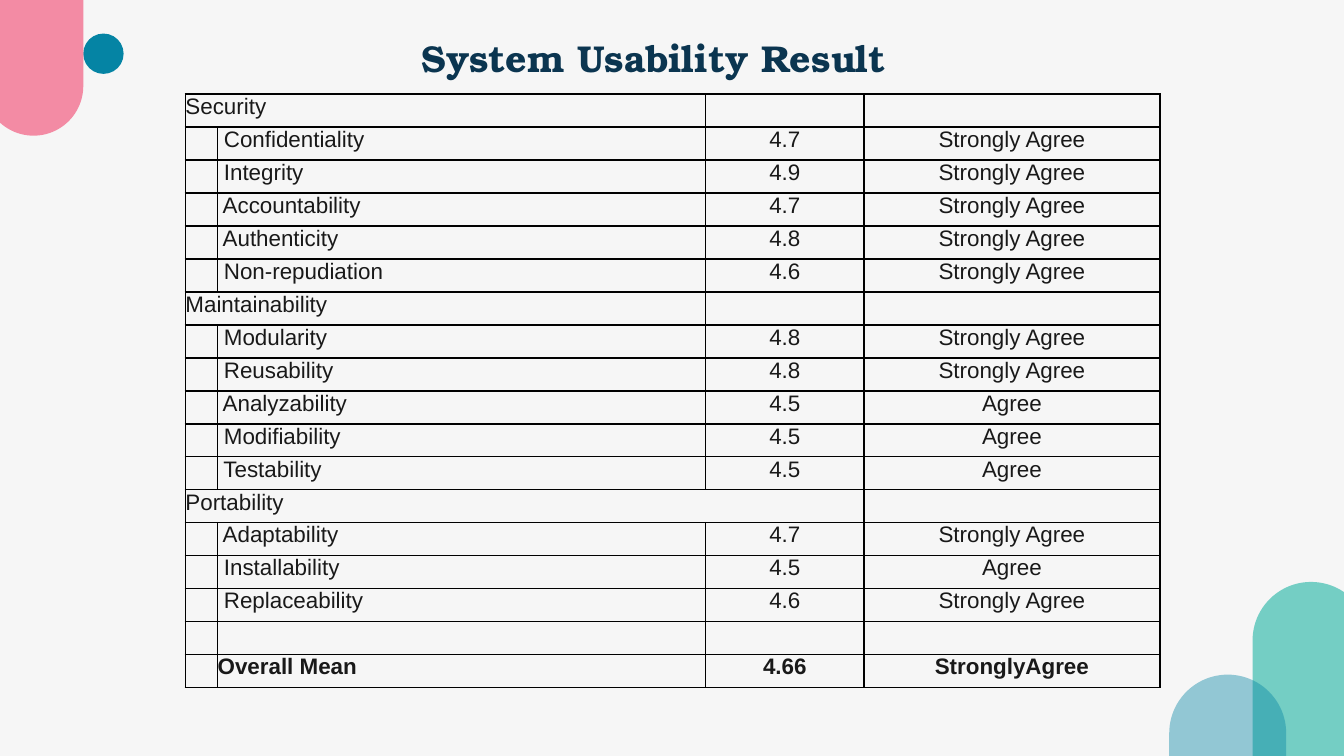
import pptx
import pptx.util
import pptx.dml.color
import pptx.enum.shapes
import pptx.enum.text
import pptx.oxml.ns
import lxml.etree

Inches = pptx.util.Inches
Pt = pptx.util.Pt
SHAPE = pptx.enum.shapes.MSO_SHAPE
ALIGN = pptx.enum.text.PP_ALIGN
qn = pptx.oxml.ns.qn


def color(value):
    return pptx.dml.color.RGBColor.from_string(value)


def add_borders(cell):
    properties = cell._tc.get_or_add_tcPr()
    for side in ("a:lnL", "a:lnR", "a:lnT", "a:lnB"):
        line = lxml.etree.SubElement(properties, qn(side), w=str(Pt(1)))
        fill = lxml.etree.SubElement(line, qn("a:solidFill"))
        lxml.etree.SubElement(fill, qn("a:srgbClr"), val="000000")


# Widescreen page, 16 to 9
deck = pptx.Presentation()
deck.slide_width = Inches(10)
deck.slide_height = Inches(10 * 9 / 16)
page = deck.slides.add_slide(deck.slide_layouts[6])
page.background.fill.solid()
page.background.fill.fore_color.rgb = color("F6F6F6")

# Corner decorations: kind, left, top, width, height, fill, opacity in percent
decorations = [
    (SHAPE.ROUNDED_RECTANGLE, 9.32, 4.33, 0.87, 4.52, "74CEC4", 100),
    (SHAPE.ROUNDED_RECTANGLE, 8.7, 5.02, 0.87, 3.13, "0584A4", 41),
    (SHAPE.OVAL, 0.62, 0.25, 0.3, 0.3, "0584A4", 100),
    (SHAPE.ROUNDED_RECTANGLE, -0.12, -0.99, 0.74, 2, "F2557A", 66),
]
for kind, left, top, width, height, fill, opacity in decorations:
    shape = page.shapes.add_shape(
        kind, Inches(left), Inches(top), Inches(width), Inches(height))
    shape.shadow.inherit = False
    shape.line.fill.background()
    shape.fill.solid()
    shape.fill.fore_color.rgb = color(fill)
    if kind == SHAPE.ROUNDED_RECTANGLE:
        shape.adjustments[0] = 0.5
    if opacity < 100:
        tint = shape._element.spPr.find(qn("a:solidFill"))[0]
        lxml.etree.SubElement(tint, qn("a:alpha"), val=str(opacity * 1000))

# Result table: section rows start in the first column
AGREE, STRONG = "Agree", "Strongly Agree"
results = [
    ("Security", "", "", ""),
    ("", " Confidentiality", "4.7", STRONG),
    ("", " Integrity", "4.9", STRONG),
    ("", " Accountability", "4.7", STRONG),
    ("", " Authenticity", "4.8", STRONG),
    ("", " Non-repudiation", "4.6", STRONG),
    ("Maintainability", "", "", ""),
    ("", " Modularity", "4.8", STRONG),
    ("", " Reusability", "4.8", STRONG),
    ("", " Analyzability", "4.5", AGREE),
    ("", " Modifiability", "4.5", AGREE),
    ("", " Testability", "4.5", AGREE),
    ("Portability", "", "", ""),
    ("", " Adaptability", "4.7", STRONG),
    ("", " Installability", "4.5", AGREE),
    ("", " Replaceability", "4.6", STRONG),
    ("", "", "", ""),
    ("", "Overall Mean", "4.66", "StronglyAgree"),
]
widths = [0.24, 3.63, 1.18, 2.2]
table = page.shapes.add_table(
    len(results), len(widths), Inches(1.38), Inches(0.7),
    Inches(7.25), Inches(4.42)).table
table.first_row = False
table.horz_banding = False
for column, width in zip(table.columns, widths):
    column.width = Inches(width)

for row_index, values in enumerate(results):
    is_total = row_index == len(results) - 1
    for column_index, value in enumerate(values):
        cell = table.cell(row_index, column_index)
        cell.margin_left = cell.margin_right = 0
        cell.margin_top = cell.margin_bottom = 0
        add_borders(cell)
        cell.fill.background()
        para = cell.text_frame.paragraphs[0]
        if not value:
            # Keep empty cells from stretching their row
            lxml.etree.SubElement(para._p, qn("a:endParaRPr"), sz="1200")
            continue
        para.text = value
        if column_index >= 2:
            para.alignment = ALIGN.CENTER
        font = para.runs[0].font
        font.name = "Arial"
        font.size = Pt(12)
        font.bold = is_total
        font.color.rgb = color("191919")
    if values[0]:
        last_column = 2 if values[0] == "Portability" else 1
        table.cell(row_index, 0).merge(table.cell(row_index, last_column))

# Title
title = page.shapes.add_textbox(
    Inches(1.75), Inches(0.16), Inches(6.23), Inches(0.52))
frame = title.text_frame
frame.word_wrap = True
frame.margin_left = frame.margin_right = Inches(0.1)
frame.margin_top = frame.margin_bottom = Inches(0.1)
frame.text = "System Usability Result"
para = frame.paragraphs[0]
para.alignment = ALIGN.CENTER
span = para.runs[0]
span.font.name = "TeX Gyre Bonum"
span.font.size = Pt(20)
span.font.bold = True
span.font.color.rgb = color("0B3550")

deck.save("out.pptx")
